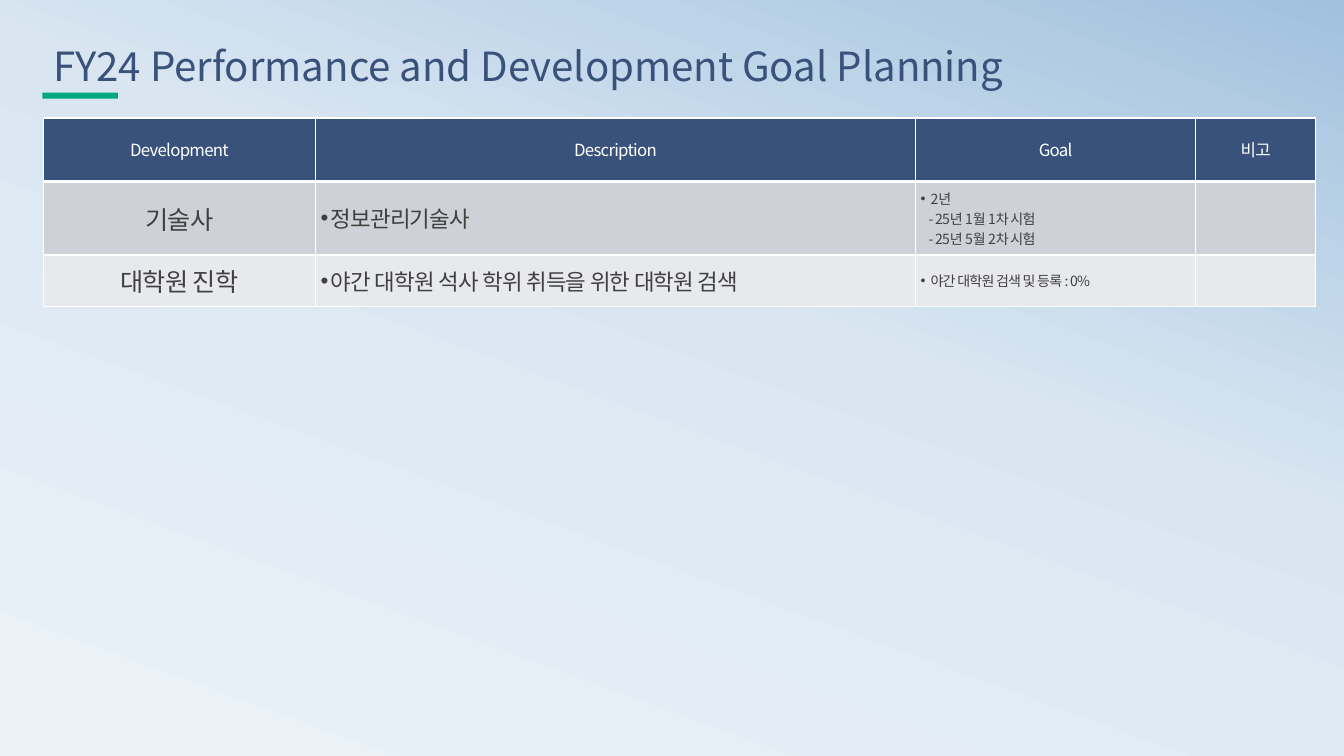
from copy import deepcopy

from lxml import etree
from pptx import Presentation
from pptx.dml.color import RGBColor
from pptx.enum.shapes import MSO_SHAPE
from pptx.enum.text import MSO_ANCHOR, PP_ALIGN
from pptx.oxml.ns import qn
from pptx.util import Inches, Pt

RECT = MSO_SHAPE.RECTANGLE
MIDDLE, BOTTOM = MSO_ANCHOR.MIDDLE, MSO_ANCHOR.BOTTOM
CENTER, LEFT = PP_ALIGN.CENTER, PP_ALIGN.LEFT
FONT = "Noto Sans CJK KR"
COLORS = {
    "navy": "39527B", "green": "01A982", "white": "FFFFFF", "text": "404040",
    "row_dark": "CED1D7", "row_light": "E8E9EC",
    "bg_start": "ECF3F8", "bg_middle": "D9E6F2", "bg_end": "A1C1DE",
}


def add_run(p, text, size, color, spacing=0):
    """Add a run in the slide font, for Latin and Korean letters alike."""
    r = p.add_run()
    r.text = text
    values = {"name": FONT, "size": Pt(size), "bold": False}
    for name, value in values.items():
        setattr(r.font, name, value)
    r.font.color.rgb = RGBColor.from_string(COLORS[color])
    rPr = r._r.get_or_add_rPr()
    rPr.set("spc", str(spacing))
    etree.SubElement(rPr, qn("a:ea"), typeface=FONT)


def add_border(cell, side, width):
    ln = etree.SubElement(cell._tc.get_or_add_tcPr(), qn(f"a:ln{side}"), w=str(Pt(width)))
    fill = etree.SubElement(ln, qn("a:solidFill"))
    etree.SubElement(fill, qn("a:srgbClr"), val=COLORS["white"])


prs = Presentation()
prs.slide_width, prs.slide_height = Inches(13.33), Inches(7.5)
s = prs.slides.add_slide(prs.slide_layouts[6])

# Background gradient, from bottom left to top right
bg = s.background.fill
bg.gradient()
bg.gradient_angle = 70
stop_list = s.element.find(".//" + qn("a:gsLst"))
stop_list.append(deepcopy(stop_list[0]))
stops = [(0, "bg_start"), (0.58, "bg_middle"), (1, "bg_end")]
for stop, (position, color) in zip(bg.gradient_stops, stops):
    stop.position = position
    stop.color.rgb = RGBColor.from_string(COLORS[color])

# Title and accent bar
bar = s.shapes.add_shape(RECT, Inches(0.42), Inches(0.92), Inches(0.75), Inches(0.06))
bar.shadow.inherit = False
bar.fill.solid()
bar.fill.fore_color.rgb = RGBColor.from_string(COLORS["green"])
bar.line.fill.background()

title = s.shapes.add_textbox(Inches(0.43), Inches(0.42), Inches(12.49), Inches(0.47))
tf = title.text_frame
title_format = {"word_wrap": True, "vertical_anchor": BOTTOM, "margin_top": 0, "margin_bottom": 0}
for name, value in title_format.items():
    setattr(tf, name, value)
p = tf.paragraphs[0]
p.line_spacing = 0.8
add_run(p, "FY24 Performance and Development Goal Planning", 28.7, "navy")

# Goal table: each cell is a list of lines
rows = [
    [["Development"], ["Description"], ["Goal"], ["비고"]],
    [["기술사"], ["정보관리기술사"],
     ["2년", "- 25년 1월 1차 시험", "- 25년 5월 2차 시험"], []],
    [["대학원 진학"], ["야간 대학원 석사 학위 취득을 위한 대학원 검색"],
     ["야간 대학원 검색 및 등록 : 0%"], []],
]
col_widths = [2.7, 5.95, 2.78, 1.19]
row_heights = [0.63, 0.73, 0.51]
row_fills = ["navy", "row_dark", "row_light"]
body_sizes = [18, 16, 10, 10]
cell_format = {
    "vertical_anchor": MIDDLE,
    "margin_left": Inches(0.05), "margin_right": Inches(0.05),
    "margin_top": Inches(0.07), "margin_bottom": Inches(0.07),
}

table = s.shapes.add_table(
    len(rows), len(col_widths), Inches(0.43), Inches(1.17),
    Inches(sum(col_widths)), Inches(sum(row_heights))).table
for column, width in zip(table.columns, col_widths):
    column.width = Inches(width)
for row, height in zip(table.rows, row_heights):
    row.height = Inches(height)

for i, row in enumerate(rows):
    header = i == 0
    for j, lines in enumerate(row):
        cell = table.cell(i, j)
        for name, value in cell_format.items():
            setattr(cell, name, value)
        for side in "LRTB":
            thick = (header and side == "B") or (i == 1 and side == "T")
            add_border(cell, side, 3 if thick else 1)
        cell.fill.solid()
        cell.fill.fore_color.rgb = RGBColor.from_string(COLORS[row_fills[i]])

        tf = cell.text_frame
        centered = header or j == 0
        for k, line in enumerate(lines):
            p = tf.paragraphs[0] if k == 0 else tf.add_paragraph()
            p.alignment = CENTER if centered else LEFT
            pPr = p._p.get_or_add_pPr()
            if not centered and k == 0:
                pPr.set("marL", str(Inches(0.1)))
                pPr.set("indent", str(Inches(-0.1)))
                etree.SubElement(pPr, qn("a:buFont"), typeface="Arial")
                etree.SubElement(pPr, qn("a:buChar"), char="•")
            elif not centered:
                pPr.set("marL", str(Inches(0.08)))
            add_run(p, line, 12 if header else body_sizes[j],
                    "white" if header else "text", -50)

prs.save("out.pptx")
